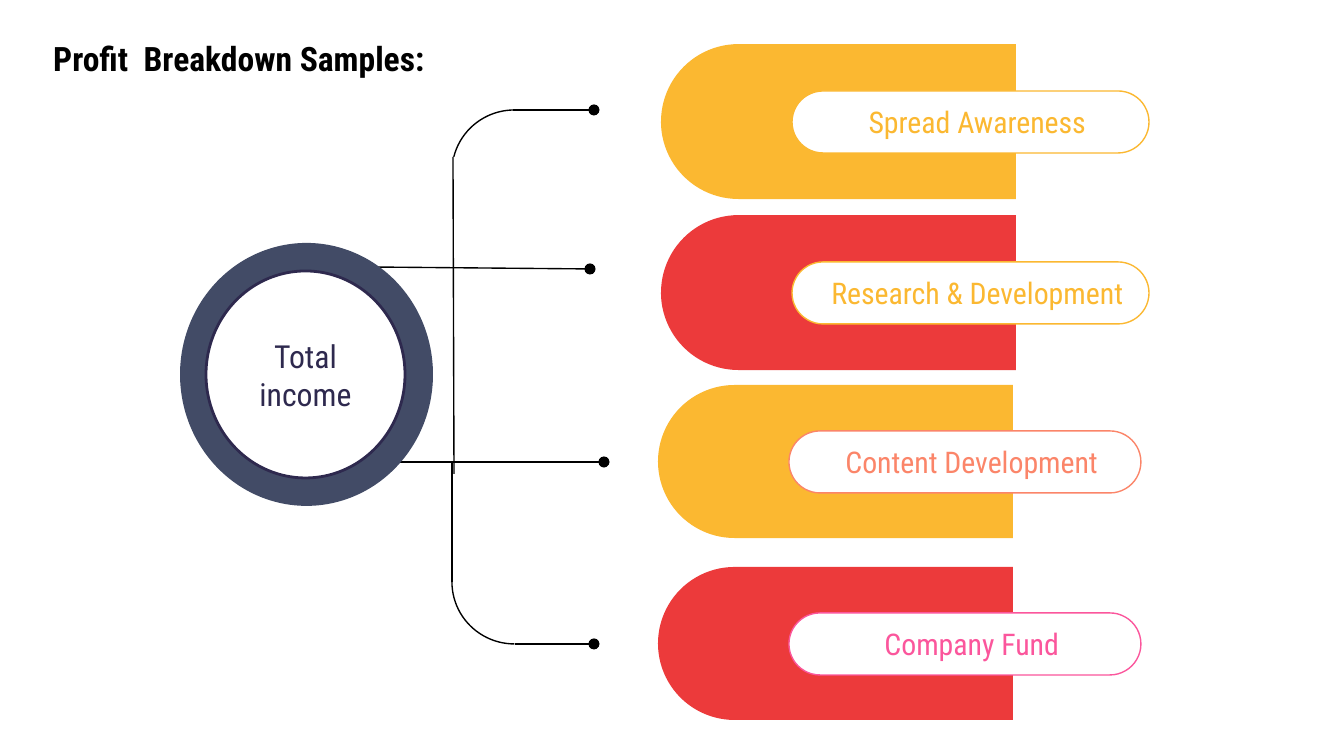
from typing import NamedTuple

import pptx
import pptx.dml.color
import pptx.enum.shapes
import pptx.enum.text
import pptx.util
from lxml import etree
from pptx.oxml.ns import qn

RGB = pptx.dml.color.RGBColor
KIND = pptx.enum.shapes.MSO_SHAPE
ALIGN = pptx.enum.text.PP_ALIGN

BLACK = RGB(0x00, 0x00, 0x00)
WHITE = RGB(0xFF, 0xFF, 0xFF)
SLATE = RGB(0x42, 0x4B, 0x66)
NAVY = RGB(0x2E, 0x29, 0x4E)
AMBER = RGB(0xFB, 0xB8, 0x31)
RED = RGB(0xEC, 0x3A, 0x3B)
CORAL = RGB(0xFB, 0x85, 0x69)
PINK = RGB(0xFB, 0x56, 0x9C)

FONT = "Roboto Condensed"
SCALE = 914400 / 134.4  # EMU in one px
THIN = 0.75


class Box(NamedTuple):
    left: int
    top: int
    width: int
    height: int


class Item(NamedTuple):
    label: str
    bar: Box
    fill: RGB
    pill: Box
    ink: RGB


class Arc(NamedTuple):
    box: Box
    start: float  # degrees, clockwise from the right
    end: float


class Line(NamedTuple):
    x1: int
    y1: int
    x2: int
    y2: int
    dot: bool = False


ITEMS = [
    Item("Content Development", Box(658, 385, 355, 153), AMBER, Box(789, 431, 352, 62), CORAL),
    Item("Company Fund", Box(658, 567, 355, 153), RED, Box(789, 613, 352, 62), PINK),
    Item("Research & Development", Box(661, 215, 355, 155), RED, Box(792, 262, 357, 62), AMBER),
    Item("Spread Awareness", Box(661, 44, 355, 155), AMBER, Box(792, 91, 357, 62), AMBER),
]
ARCS = [
    Arc(Box(452, 110, 125, 124), 194, 270),
    Arc(Box(452, 520, 125, 124), 90, 180),
]
LINES = [
    Line(366, 267, 590, 269, True),
    Line(513, 110, 594, 110, True),
    Line(453, 157, 454, 474),
    Line(515, 644, 594, 644, True),
    Line(452, 582, 452, 462),
    Line(351, 462, 604, 462, True),
]


def px(size: float) -> int:
    return round(size * SCALE)


def shape(slide, kind, box: Box, fill=None, ink=None, weight: float = THIN):
    new = slide.shapes.add_shape(kind, *map(px, box))
    new.shadow.inherit = False
    if fill is None:
        new.fill.background()
    else:
        new.fill.solid()
        new.fill.fore_color.rgb = fill
    if ink is None:
        new.line.fill.background()
    else:
        new.line.color.rgb = ink
        new.line.width = pptx.util.Pt(weight)
    return new


def write(new, text: str, size: int, ink: RGB, align=ALIGN.CENTER,
          bold: bool = False, inset: float = 0.1) -> None:
    frame = new.text_frame
    frame.word_wrap = True
    frame.margin_left = pptx.util.Inches(inset)
    frame.margin_right = frame.margin_top = frame.margin_bottom = pptx.util.Inches(0.1)
    para = frame.paragraphs[0]
    para.text = text
    para.alignment = align
    para.font.name = FONT
    para.font.size = pptx.util.Pt(size)
    para.font.bold = bold
    para.font.color.rgb = ink


def draw_item(slide, item: Item) -> None:
    # The bar stands upright, then turns so its round end faces left
    left, top, width, height = item.bar
    shift = (width - height) / 2
    bar = shape(slide, KIND.ROUND_2_SAME_RECTANGLE,
                Box(left + shift, top - shift, height, width), item.fill)
    bar.adjustments[0] = 0.5
    bar.adjustments[1] = 0
    bar.rotation = 270
    pill = shape(slide, KIND.ROUNDED_RECTANGLE, item.pill, WHITE, item.ink)
    pill.adjustments[0] = 0.5
    write(pill, item.label, 16, item.ink, inset=0.2)


def draw_arc(slide, arc: Arc) -> None:
    new = shape(slide, KIND.ARC, arc.box, ink=BLACK)
    new.adjustments[0] = arc.start * 0.6
    new.adjustments[1] = arc.end * 0.6


def draw_line(slide, line: Line) -> None:
    new = slide.shapes.add_connector(
        pptx.enum.shapes.MSO_CONNECTOR.STRAIGHT, *map(px, line[:4]))
    new.line.color.rgb = BLACK
    new.line.width = pptx.util.Pt(THIN)
    if line.dot:
        etree.SubElement(new.line._get_or_add_ln(), qn("a:tailEnd"), type="oval")
    etree.SubElement(new._element.spPr, qn("a:effectLst"))


def main() -> None:
    deck = pptx.Presentation()
    deck.slide_width, deck.slide_height = px(1344), px(756)
    slide = deck.slides.add_slide(deck.slide_layouts[6])

    # Title
    title = slide.shapes.add_textbox(*map(px, Box(40, 24, 469, 67)))
    write(title, "Profit  Breakdown Samples:", 18, BLACK, ALIGN.LEFT, True)

    # Branches
    for arc in ARCS:
        draw_arc(slide, arc)
    for line in LINES:
        draw_line(slide, line)

    # Income ring
    shape(slide, KIND.OVAL, Box(180, 243, 253, 263), SLATE)
    core = shape(slide, KIND.OVAL, Box(206, 271, 199, 207), WHITE, NAVY, 1.5)
    write(core, "Total income", 17, NAVY)

    # Profit shares
    for item in ITEMS:
        draw_item(slide, item)

    deck.save("out.pptx")


if __name__ == "__main__":
    main()
